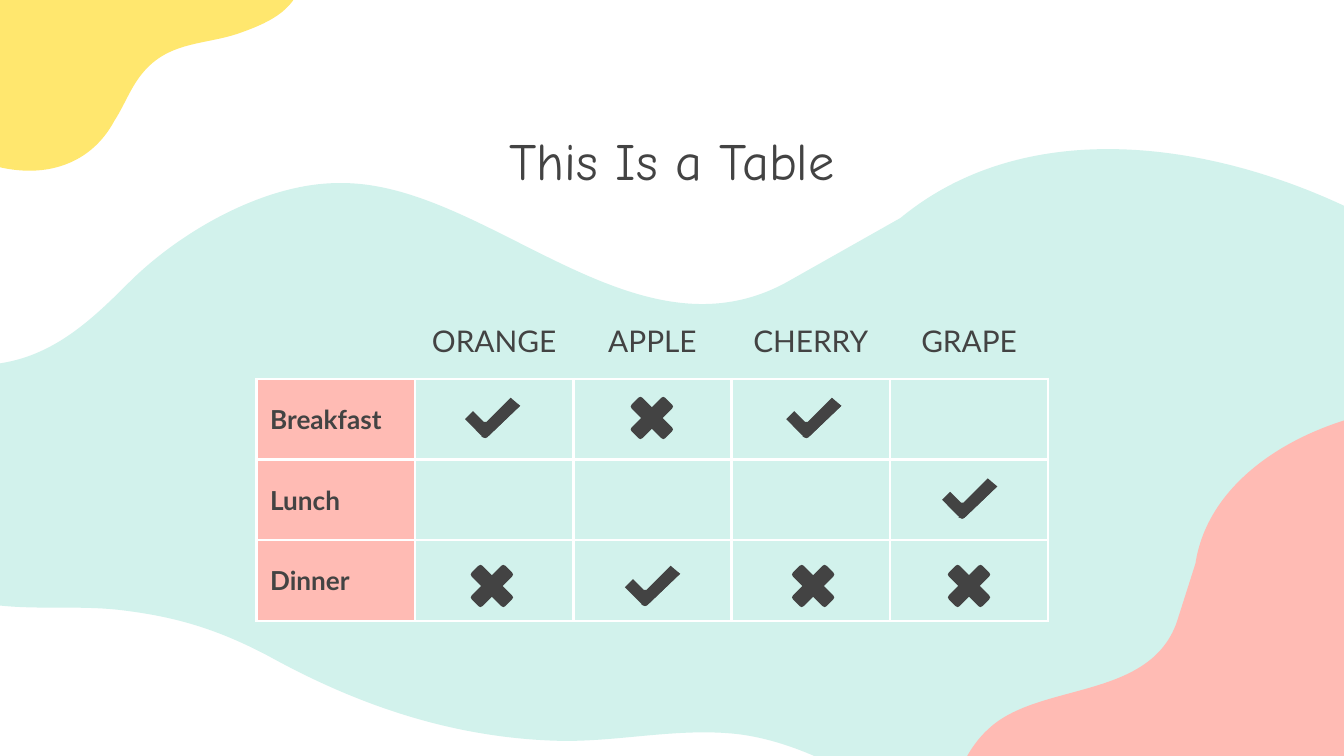
from math import cos, sin, radians
from lxml.etree import SubElement
from pptx import Presentation
from pptx.dml.color import RGBColor
from pptx.enum.text import MSO_ANCHOR, PP_ALIGN
from pptx.oxml.ns import qn
from pptx.util import Inches, Pt

INK = {"mint": "D2F2EC", "pink": "FFBBB4", "sun": "FFE76E",
       "dark": "434343", "white": "FFFFFF"}


def trace(home, ink, start, steps, spot=(0, 0), turn=0, hub=(0, 0)):
    """Draw a closed outline: 2 numbers make a line, 6 make a curve.

    The points are turned back about the hub, then the shape is turned forth.
    """
    c, s = cos(radians(turn)), sin(radians(turn))
    dots = [start] + [step[i:i + 2] for step in steps for i in range(0, len(step), 2)]
    away = [(x - hub[0], y - hub[1]) for x, y in dots]
    ends = [(Inches(spot[0] + hub[0] + x * c + y * s),
             Inches(spot[1] + hub[1] + y * c - x * s)) for x, y in away]
    form = home.build_freeform(*ends[0])
    form.add_line_segments(ends[1:])
    shape = form.convert_to_shape()
    shape.rotation = turn
    shape.shadow.inherit = False
    shape.fill.solid()
    shape.fill.fore_color.rgb = RGBColor.from_string(INK[ink])
    shape.line.fill.background()
    # Join three line legs into each curve
    legs = iter(list(shape._element.iter(qn("a:lnTo"))))
    for step in steps:
        leg = next(legs)
        if len(step) == 6:
            trio = [leg, next(legs), next(legs)]
            curve = SubElement(leg.getparent(), qn("a:cubicBezTo"))
            leg.addprevious(curve)
            for part in trio:
                curve.append(part[0])
                part.getparent().remove(part)


def write(frame, text, size, font, align, bold=False):
    para = frame.paragraphs[0]
    para.alignment = align
    run = para.add_run()
    run.text = text
    run.font.size, run.font.name, run.font.bold = Pt(size), font, bold
    run.font.color.rgb = RGBColor.from_string(INK["dark"])


# Slide, 16 to 9
deck = Presentation()
deck.slide_width = Inches(10)
deck.slide_height = deck.slide_width * 9 // 16
slide = deck.slides.add_slide(deck.slide_layouts[5])
shapes = slide.shapes

# Background waves
trace(shapes, "mint", (-0.62, 4.3), [
    (-0.5, 4.37, -0.37, 4.42, -0.24, 4.46), (0.13, 4.56, 0.54, 4.49, 0.92, 4.54),
    (1.33, 4.59, 1.64, 4.69, 2, 4.88), (2.67, 5.25, 3.38, 5.49, 4.16, 5.51),
    (4.6, 5.52, 5.04, 5.41, 5.49, 5.46), (5.81, 5.5, 6.1, 5.63, 6.38, 5.78),
    (6.53, 5.86, 6.68, 5.95, 6.82, 6.03), (6.99, 6.14, 7.17, 6.26, 7.35, 6.36),
    (7.57, 6.48, 7.8, 6.57, 8.06, 6.57), (8.48, 6.56, 9.1, 6.56, 9.49, 6.4),
    (9.63, 6.1, 9.89, 5.86, 10.07, 5.57), (10.33, 5.15, 10.53, 4.7, 10.75, 4.27),
    (10.94, 3.91, 11.08, 3.54, 11.23, 3.17), (11.29, 3.04, 11.49, 2.62, 11.4, 2.52),
    (11.11, 2.21, 10.72, 1.91, 10.28, 1.67), (9.14, 1.05, 7.67, 0.82, 6.7, 1.62),
    (5.85, 2.1), (4.71, 2.72, 3.61, 1.34, 2.52, 1.36),
    (1.97, 1.36, 1.34, 1.72, 0.96, 2.1), (0.66, 2.4, 0.37, 2.67, -0.07, 2.71),
    (-0.5, 2.74, -0.91, 2.6, -1.33, 2.65), (-1.46, 2.66, -1.59, 2.71, -1.65, 2.82),
    (-1.73, 2.96, -1.67, 3.14, -1.6, 3.28), (-1.39, 3.69, -1.04, 4.08, -0.62, 4.3),
], spot=(0, 0.02), turn=208.5, hub=(4.87, 3))
trace(shapes, "pink", (7.17, 7.46), [
    (7.24, 7.44, 7.3, 7.42, 7.36, 7.39), (7.52, 7.31, 7.64, 7.15, 7.79, 7.05),
    (7.95, 6.94, 8.09, 6.88, 8.28, 6.83), (8.63, 6.75, 8.95, 6.6, 9.23, 6.37),
    (9.39, 6.23, 9.51, 6.05, 9.68, 5.93), (9.81, 5.84, 9.95, 5.79, 10.1, 5.76),
    (10.17, 5.74, 10.25, 5.72, 10.33, 5.71), (10.42, 5.69, 10.52, 5.68, 10.62, 5.66),
    (10.73, 5.63, 10.84, 5.59, 10.93, 5.5), (11.08, 5.37, 11.3, 5.17, 11.38, 4.99),
    (11.34, 4.84, 11.35, 4.68, 11.32, 4.51), (11.28, 4.29, 11.21, 4.06, 11.15, 3.84),
    (11.1, 3.66, 11.03, 3.48, 10.97, 3.3), (10.95, 3.24, 10.89, 3.03, 10.82, 3.02),
    (10.62, 3, 10.39, 3.02, 10.16, 3.08), (9.57, 3.22, 8.98, 3.6, 8.89, 4.19),
    (8.75, 4.63), (8.54, 5.21, 7.72, 5.07, 7.35, 5.42),
    (7.15, 5.6, 7.04, 5.93, 7.03, 6.18), (7.02, 6.38, 7.01, 6.57, 6.86, 6.72),
    (6.73, 6.87, 6.53, 6.95, 6.4, 7.1), (6.36, 7.14, 6.33, 7.2, 6.35, 7.26),
    (6.36, 7.33, 6.44, 7.38, 6.51, 7.4), (6.71, 7.48, 6.95, 7.51, 7.17, 7.46),
], spot=(0.02, 0.01), turn=166.5, hub=(8.68, 5.26))
trace(shapes, "sun", (0.22, 1.28), [
    (-0.32, 1.28, -0.91, 0.8, -0.78, 0.24), (-0.57, -0.18),
    (-0.29, -0.55, -0.68, -1.06, -0.16, -1.32), (0, -1.4, 0.2, -1.43, 0.41, -1.43),
    (0.93, -1.43, 1.54, -1.23, 1.83, -0.96), (2.04, -0.77, 2.31, -0.43, 2.24, -0.12),
    (2.19, 0.1, 1.97, 0.19, 1.77, 0.26), (1.53, 0.34, 1.29, 0.32, 1.1, 0.51),
    (0.98, 0.63, 0.94, 0.77, 0.85, 0.91), (0.71, 1.17, 0.47, 1.28, 0.22, 1.28),
], turn=180, hub=(0.7, -0.08))

# Title, in front of the waves
title = shapes.title
title.left, title.top, title.width, title.height = map(Inches, (0.73, 0.92, 8.54, 0.54))
title.text_frame.vertical_anchor = MSO_ANCHOR.MIDDLE
write(title.text_frame, "This Is a Table", 28, "Comic Neue", PP_ALIGN.CENTER)
shapes._spTree.append(title._element)

# Table
heads = ["", "ORANGE", "APPLE", "CHERRY", "GRAPE"]
meals = ["", "Breakfast", "Lunch", "Dinner"]
rows, cols = len(meals), len(heads)
frame = shapes.add_table(rows, cols, Inches(1.91), Inches(2.26), Inches(5.89), Inches(2.36))
table = frame.table
table.first_row = table.horz_banding = False
style = table._tbl.tblPr.find(qn("a:tableStyleId"))
style.text = "{2D5ABB26-0587-4C30-8999-92F81FD0307C}"  # no style, no grid
for col in table.columns:
    col.width = Inches(5.89 / cols)
for r, row in enumerate(table.rows):
    row.height = Inches(0.6 if r else 0.56)
    for c, cell in enumerate(row.cells):
        cell.vertical_anchor = MSO_ANCHOR.MIDDLE
        cell.margin_left = cell.margin_right = Inches(0.1)
        cell.margin_top = cell.margin_bottom = Inches(0.1)
        for side in ("LRTB" if r else "B"):
            edge = SubElement(cell._tc.get_or_add_tcPr(), qn("a:ln" + side), w=str(Pt(1.5)))
            SubElement(SubElement(edge, qn("a:solidFill")), qn("a:srgbClr"), val=INK["white"])
        cell.fill.background()
        if r and not c:
            cell.fill.solid()
            cell.fill.fore_color.rgb = RGBColor.from_string(INK["pink"])
            write(cell.text_frame, meals[r], 14, "Lato", PP_ALIGN.LEFT, True)
        elif c and not r:
            write(cell.text_frame, heads[c], 16, "Lato", PP_ALIGN.CENTER)

# Outlines of the marks, about their centres
curl = [(-0.07, 0.14, -0.06, 0.15, -0.05, 0.15), (-0.04, 0.15, -0.03, 0.14, -0.02, 0.13),
        (0.21, -0.09)]
tick = [(-0.04, 0.03), (-0.04, 0.03, -0.05, 0.03, -0.05, 0.03),
        (-0.05, 0.03, -0.06, 0.03, -0.06, 0.03),
        (-0.14, -0.05), (-0.2, 0.01), (-0.08, 0.13)] + curl
shade = [(-0.05, 0.12), (-0.06, 0.13, -0.07, 0.14, -0.08, 0.14)] + curl
arm = [(-0.07, -0.15), (-0.08, -0.16, -0.09, -0.16, -0.1, -0.15),
       (-0.15, -0.1), (-0.16, -0.09, -0.16, -0.08, -0.15, -0.07), (-0.08, 0)]
cross = []
for _ in range(4):
    cross += arm
    arm = [tuple(v for i in range(0, len(step), 2) for v in (step[i + 1], -step[i]))
           for step in arm]

# Marks: v is a tick, x is a cross
mids = [3.66, 4.85, 6.05, 7.21]
for y, line in zip([3.11, 3.71, 4.36], ["vxv ", "   v", "xvxx"]):
    for x, mark in zip(mids, line):
        if mark == "v":
            group = shapes.add_group_shape()
            trace(group.shapes, "dark", (0.14, -0.15), tick, (x, y))
            trace(group.shapes, "dark", (0.18, -0.11), shade, (x, y))
        elif mark == "x":
            trace(shapes, "dark", (0, -0.08), cross, (x, y))

deck.save("out.pptx")
